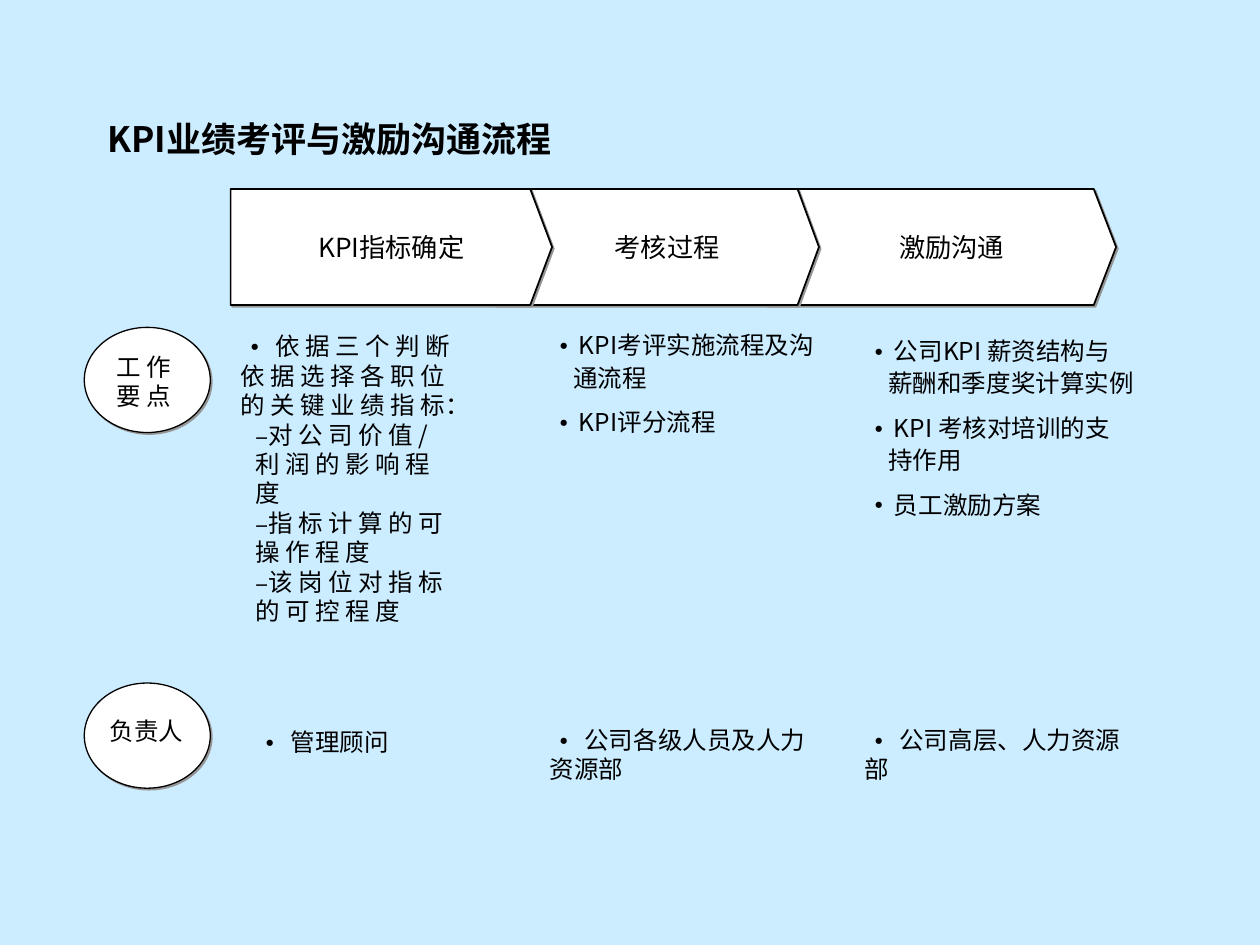
from dataclasses import dataclass

from lxml import etree
from pptx import Presentation
from pptx.dml.color import RGBColor
from pptx.enum.shapes import MSO_SHAPE
from pptx.enum.text import MSO_ANCHOR, MSO_AUTO_SIZE, PP_ALIGN
from pptx.oxml.ns import qn
from pptx.util import Cm, Pt

OVAL = MSO_SHAPE.OVAL
MIDDLE = MSO_ANCHOR.MIDDLE
GROW = MSO_AUTO_SIZE.SHAPE_TO_FIT_TEXT
LEFT, CENTER = PP_ALIGN.LEFT, PP_ALIGN.CENTER


@dataclass(frozen=True)
class Theme:
    """Colours, font and type sizes of the slide."""
    background: str = "CCECFF"
    panel: str = "FFFFFF"
    ink: str = "000000"
    shadow: str = "969696"
    font: str = "Noto Sans CJK SC"
    title: int = 20
    stage: int = 15
    body: int = 14


@dataclass(frozen=True)
class BulletStyle:
    """Bullet character, its size in percent, and paragraph layout."""
    character: str
    percent: int
    level: int
    margin: float
    indent: float = 0
    line_spacing: float = 1.0
    gap: float = 0


THEME = Theme()
HANGING = BulletStyle("•", 120, 1, 0.76, -0.48, 1.1, 7)
FLUSH = BulletStyle("•", 120, 1, 0.28)
DASH = BulletStyle("–", 100, 2, 0.58)

BAND_TOP, BAND_HEIGHT = 3.81, 2.34
LABEL_LEFT, LABEL_WIDTH, LABEL_HEIGHT = 1.7, 2.54, 2.12
STAGES = [
    ("激励沟通", 15.44, 22.05, 22.5, 0.43),
    ("考核过程", 9.96, 16.08, 16.51, 0.43),
    ("KPI指标确定", 4.65, 10.69, 11.13, 0),
]
LABELS = [
    ("工 作要 点", 6.6, (2.34, 7.09, 1.27, 1.19), LEFT),
    ("负责人", 13.77, (2.01, 14.43, 1.9, 0.58), CENTER),
]
BULLET_LISTS = [
    ((4.57, 6.68, 4.55, 6.53), [
        (" 依 据 三 个 判 断 依 据 选 择 各 职 位 的 关 键 业 绩 指 标：", FLUSH),
        ("对 公 司 价 值 / 利 润 的 影 响 程 度", DASH),
        ("指 标 计 算 的 可 操 作 程 度", DASH),
        ("该 岗 位 对 指 标 的 可 控 程 度", DASH),
    ]),
    ((10.8, 6.6, 5.72, 2.21), [
        ("KPI考评实施流程及沟通流程", HANGING),
        ("KPI评分流程", HANGING),
    ]),
    ((17.15, 6.71, 5.72, 4.42), [
        ("公司KPI 薪资结构与薪酬和季度奖计算实例", HANGING),
        ("KPI 考核对培训的支持作用", HANGING),
        ("员工激励方案", HANGING),
    ]),
    ((4.88, 14.66, 5.49, 0.58), [(" 管理顾问", FLUSH)]),
    ((10.8, 14.61, 5.72, 1.19), [(" 公司各级人员及人力资源部", FLUSH)]),
    ((17.15, 14.61, 5.92, 0.58), [(" 公司高层、人力资源部", FLUSH)]),
]


def color(value):
    """Turn a hexadecimal string into a colour."""
    return RGBColor.from_string(value)


def child(parent, tag, **attributes):
    """Append a DrawingML element and return it."""
    return etree.SubElement(parent, qn(tag), attributes)


def shadow_effect(parent, value):
    """Append a small hard shadow falling to the lower right."""
    effects = child(parent, "a:effectLst")
    shadow = child(effects, "a:outerShdw", dist="17780", dir="2700000", algn="ctr")
    child(shadow, "a:srgbClr", val=value)
    return effects


def format_runs(paragraph, size, bold=False):
    """Apply the theme font to all runs of a paragraph."""
    for run in paragraph.runs:
        run.font.size = Pt(size)
        run.font.bold = bold
        run.font.color.rgb = color(THEME.ink)
        run.font.name = THEME.font
        child(run.font._element, "a:ea", typeface=THEME.font)


def style_panel(shape, line_width):
    """Give a shape its white fill, black outline and shadow."""
    shape.fill.solid()
    shape.fill.fore_color.rgb = color(THEME.panel)
    shape.line.color.rgb = color(THEME.ink)
    shape.line.width = Pt(line_width)
    shadow_effect(shape._element.spPr, THEME.shadow)


def add_text(slide, box, text="", size=THEME.body, alignment=LEFT, inset=(0, 0), bold=False):
    """Add a wrapping text box and return its text frame."""
    text_frame = slide.shapes.add_textbox(*map(Cm, box)).text_frame
    text_frame.word_wrap = True
    text_frame.auto_size = GROW
    text_frame.margin_left = text_frame.margin_right = Cm(inset[0])
    text_frame.margin_top = text_frame.margin_bottom = Cm(inset[1])
    text_frame.text = text
    paragraph = text_frame.paragraphs[0]
    paragraph.alignment = alignment
    format_runs(paragraph, size, bold)
    return text_frame


def add_title(slide):
    """Add the slide title with its light text shadow."""
    text_frame = add_text(slide, (1.91, 2.24, 14.81, 1.12), "KPI业绩考评与激励沟通流程",
                          THEME.title, inset=(0.25, 0.13), bold=True)
    properties = text_frame.paragraphs[0].runs[0].font._element
    effects = shadow_effect(properties, THEME.panel)
    properties.find(qn("a:solidFill")).addnext(effects)


def add_label(slide, text, top, text_box, alignment):
    """Add a row label: an ellipse with text over it."""
    oval = slide.shapes.add_shape(
        OVAL, Cm(LABEL_LEFT), Cm(top), Cm(LABEL_WIDTH), Cm(LABEL_HEIGHT))
    style_panel(oval, 0.75)
    add_text(slide, text_box, text, alignment=alignment)


def add_stage(slide, text, left, shoulder, tip, margin):
    """Add one pointed stage of the process band."""
    bottom = BAND_TOP + BAND_HEIGHT
    builder = slide.shapes.build_freeform(Cm(left), Cm(BAND_TOP))
    outline = [(shoulder, BAND_TOP), (tip, BAND_TOP + BAND_HEIGHT / 2),
               (shoulder, bottom), (left, bottom)]
    builder.add_line_segments([(Cm(x), Cm(y)) for x, y in outline])
    stage = builder.convert_to_shape()
    style_panel(stage, 1)
    text_frame = stage.text_frame
    text_frame.word_wrap = True
    text_frame.vertical_anchor = MIDDLE
    text_frame.text = text
    paragraph = text_frame.paragraphs[0]
    paragraph.alignment = CENTER
    paragraph._p.get_or_add_pPr().set("marL", str(Cm(margin)))
    format_runs(paragraph, THEME.stage)


def format_bullet(paragraph, style):
    """Give a paragraph its bullet, indent and spacing."""
    paragraph.level = style.level
    paragraph.line_spacing = style.line_spacing
    properties = paragraph._p.get_or_add_pPr()
    properties.set("marL", str(Cm(style.margin)))
    properties.set("indent", str(Cm(style.indent)))
    child(child(properties, "a:buClr"), "a:srgbClr", val=THEME.ink)
    child(properties, "a:buSzPct", val=str(style.percent * 1000))
    child(properties, "a:buFont", typeface=THEME.font)
    child(properties, "a:buChar", char=style.character)


def add_bullets(slide, box, items):
    """Add a text box holding a bulleted list."""
    text_frame = add_text(slide, box)
    for index, (text, style) in enumerate(items):
        paragraph = text_frame.add_paragraph() if index else text_frame.paragraphs[0]
        paragraph.text = text
        format_bullet(paragraph, style)
        if index:
            paragraph.space_before = Pt(style.gap)
        format_runs(paragraph, THEME.body)


def main():
    """Build the slide and save it."""
    presentation = Presentation()
    presentation.slide_width, presentation.slide_height = Cm(25.4), Cm(19.05)
    slide = presentation.slides.add_slide(presentation.slide_layouts[6])
    slide.background.fill.solid()
    slide.background.fill.fore_color.rgb = color(THEME.background)
    add_title(slide)
    for label in LABELS:
        add_label(slide, *label)
    for stage in STAGES:
        add_stage(slide, *stage)
    for box, items in BULLET_LISTS:
        add_bullets(slide, box, items)
    presentation.save("out.pptx")


if __name__ == "__main__":
    main()
